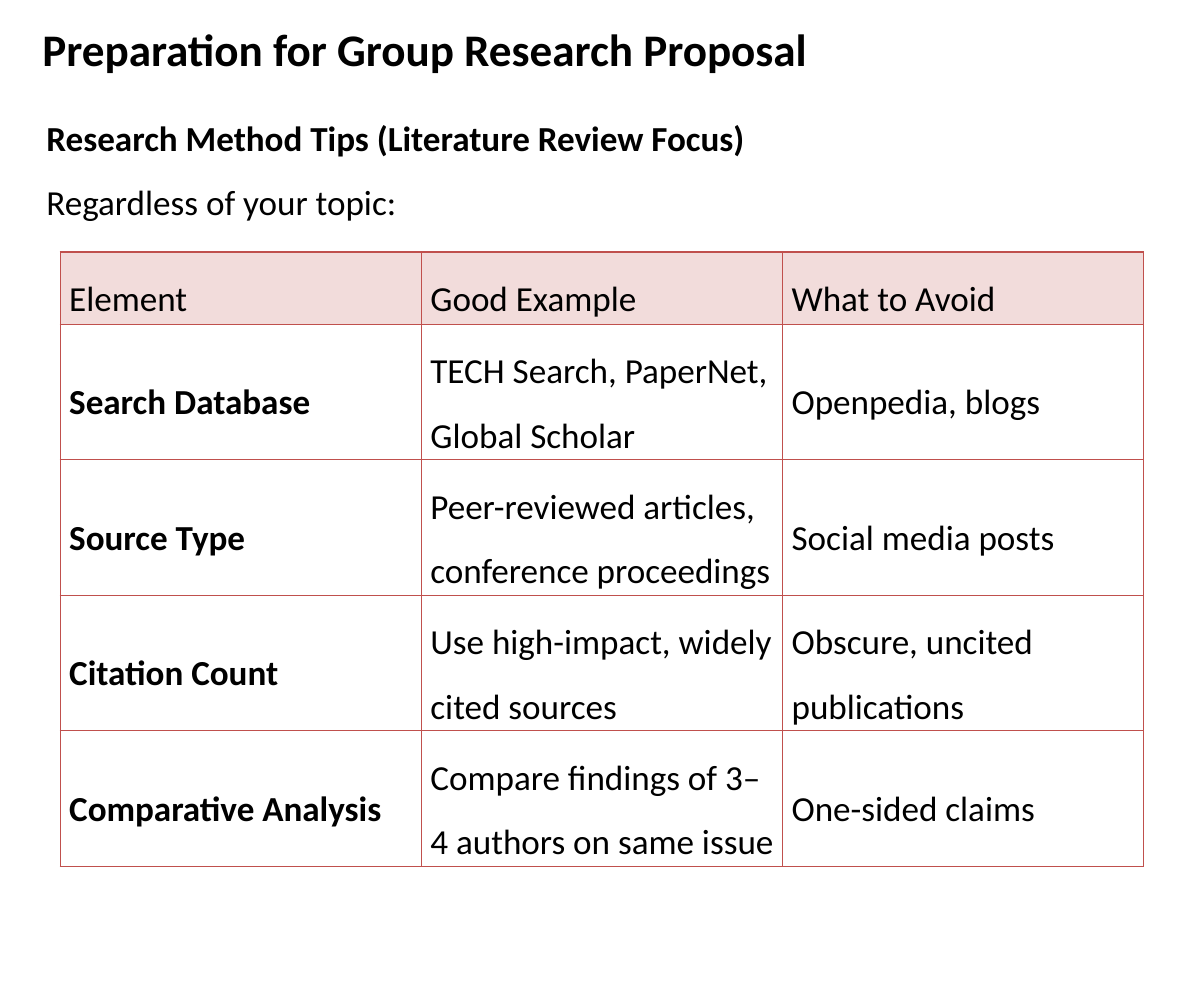
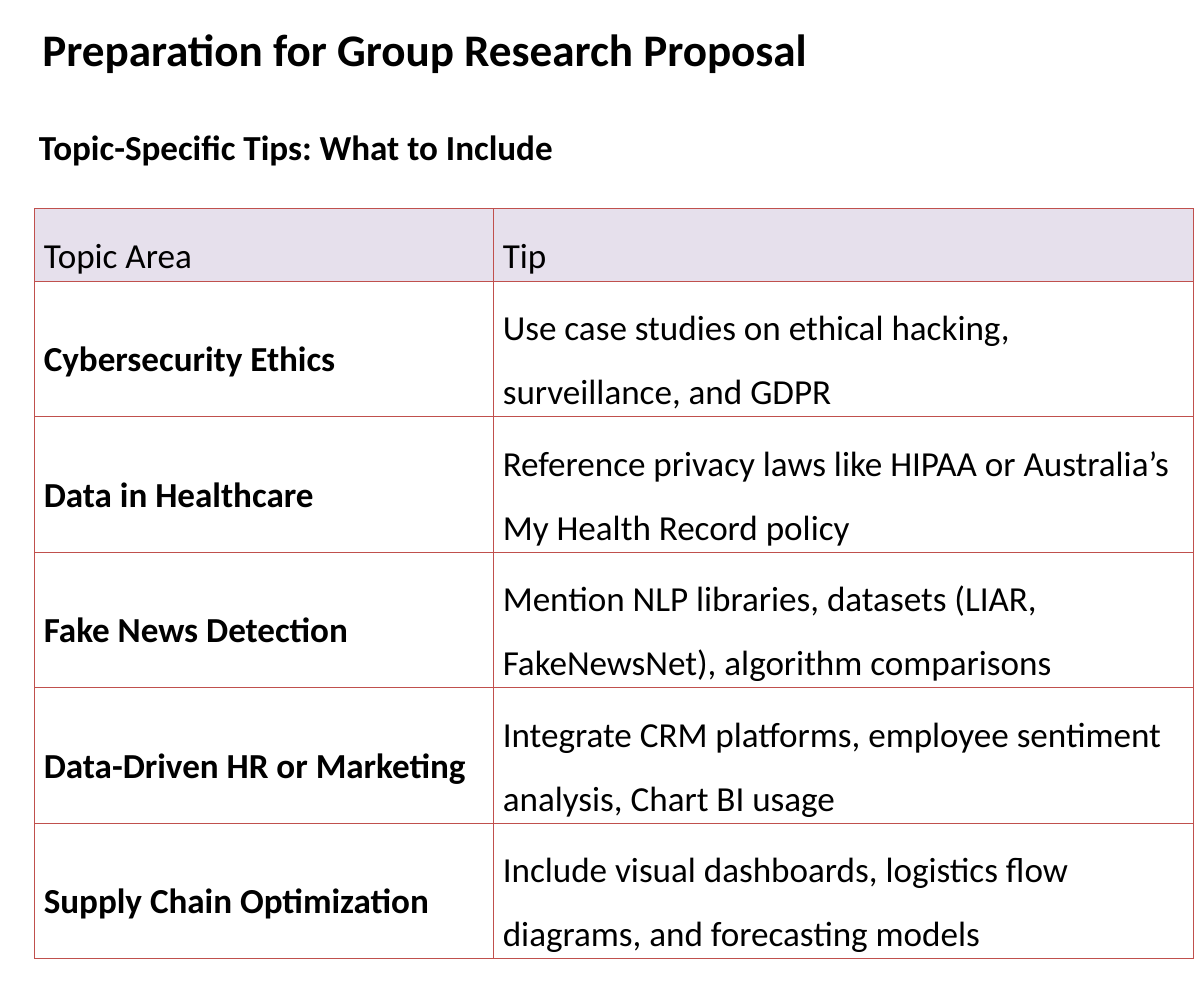
from dataclasses import dataclass

from pptx import Presentation, util as u
from pptx.dml.color import RGBColor
from pptx.enum import text
from pptx.oxml import parse_xml
from pptx.oxml.ns import nsdecls

PX = 9525  # EMU, 96 px to the inch
FONT = "Calibri"
BLACK = RGBColor(0x00, 0x00, 0x00)
ROSE = RGBColor(0xF2, 0xDC, 0xDB)
LILAC = RGBColor(0xE6, 0xE0, 0xEC)
BORDER = RGBColor(0xC0, 0x50, 0x4D)
TITLE = "Preparation for Group Research Proposal"
TITLE_SIZE, BODY_SIZE = 36, 28
HEADER_HEIGHT, ROW_HEIGHT = 77, 144
LINE_SPACING = 1.5


@dataclass(frozen=True)
class Box:
    left: int
    top: int
    width: int
    height: int

    def emu(self) -> list[int]:
        return [side * PX for side in (self.left, self.top, self.width, self.height)]


@dataclass(frozen=True)
class Line:
    words: str
    bold: bool = False
    spacing: float | None = None


@dataclass(frozen=True)
class Grid:
    left: int
    top: int
    widths: list[int]
    header_fill: RGBColor
    rows: list[list[str]]


@dataclass(frozen=True)
class Page:
    intro_box: Box
    intro: list[Line]
    grid: Grid


PAGES = [
    Page(
        Box(40, 100, 776, 138),
        [
            Line("Research Method Tips (Literature Review Focus)", True, LINE_SPACING),
            Line("Regardless of your topic:", False, LINE_SPACING),
        ],
        Grid(64, 268, [384, 384, 384], ROSE, [
            ["Element", "Good Example", "What to Avoid"],
            ["Search Database", "TECH Search, PaperNet, Global Scholar", "Openpedia, blogs"],
            ["Source Type", "Peer-reviewed articles, conference proceedings",
             "Social media posts"],
            ["Citation Count", "Use high-impact, widely cited sources",
             "Obscure, uncited publications"],
            ["Comparative Analysis", "Compare findings of 3–4 authors on same issue",
             "One-sided claims"],
        ]),
    ),
    Page(
        Box(32, 128, 576, 55),
        [Line("Topic-Specific Tips: What to Include", True)],
        Grid(37, 222, [488, 744], LILAC, [
            ["Topic Area", "Tip"],
            ["Cybersecurity Ethics",
             "Use case studies on ethical hacking, surveillance, and GDPR"],
            ["Data in Healthcare",
             "Reference privacy laws like HIPAA or Australia’s My Health Record policy"],
            ["Fake News Detection",
             "Mention NLP libraries, datasets (LIAR, FakeNewsNet), algorithm comparisons"],
            ["Data-Driven HR or Marketing",
             "Integrate CRM platforms, employee sentiment analysis, Chart BI usage"],
            ["Supply Chain Optimization",
             "Include visual dashboards, logistics flow diagrams, and forecasting models"],
        ]),
    ),
]


def write(para, line: Line, size: int = BODY_SIZE) -> None:
    if line.spacing:
        para.line_spacing = line.spacing
    span = para.add_run()
    span.text = line.words
    span.font.name, span.font.size, span.font.bold = FONT, u.Pt(size), line.bold
    span.font.color.rgb = BLACK


def add_title(slide) -> None:
    frame = slide.shapes.add_textbox(*Box(20, 22, 1092, 60).emu()).text_frame
    frame.word_wrap = True
    frame.auto_size = text.MSO_AUTO_SIZE.SHAPE_TO_FIT_TEXT
    frame.margin_left = frame.margin_right = frame.margin_bottom = 0
    frame.margin_top = PX
    para = frame.paragraphs[0]
    para.space_before = u.Pt(1)
    properties = para._p.get_or_add_pPr()
    properties.set("marL", str(25 * PX))
    properties.set("indent", "0")
    write(para, Line(TITLE, True), TITLE_SIZE)


def add_intro(slide, box: Box, lines: list[Line]) -> None:
    frame = slide.shapes.add_textbox(*box.emu()).text_frame
    frame.word_wrap = False
    frame.auto_size = text.MSO_AUTO_SIZE.SHAPE_TO_FIT_TEXT
    frame.vertical_anchor = text.MSO_ANCHOR.MIDDLE
    for index, line in enumerate(lines):
        write(frame.add_paragraph() if index else frame.paragraphs[0], line)


def outline(cell) -> None:
    """Draw a one-point border on all four sides of a cell."""
    properties = cell._tc.get_or_add_tcPr()
    for index, side in enumerate(("lnL", "lnR", "lnT", "lnB")):
        properties.insert(index, parse_xml(
            f'<a:{side} {nsdecls("a")} w="{u.Pt(1)}"><a:solidFill>'
            f'<a:srgbClr val="{BORDER}"/></a:solidFill></a:{side}>'))


def add_grid(slide, grid: Grid) -> None:
    heights = [HEADER_HEIGHT] + [ROW_HEIGHT] * (len(grid.rows) - 1)
    box = Box(grid.left, grid.top, sum(grid.widths), sum(heights))
    table = slide.shapes.add_table(len(heights), len(grid.widths), *box.emu()).table
    table.first_row = table.horz_banding = False
    for column, width in zip(table.columns, grid.widths):
        column.width = width * PX
    for r, (height, words) in enumerate(zip(heights, grid.rows)):
        table.rows[r].height = height * PX
        for c, entry in enumerate(words):
            cell = table.cell(r, c)
            cell.vertical_anchor = text.MSO_ANCHOR.MIDDLE
            if r == 0:
                cell.fill.solid()
                cell.fill.fore_color.rgb = grid.header_fill
            else:
                cell.fill.background()
            outline(cell)
            label = r > 0 and c == 0
            write(cell.text_frame.paragraphs[0], Line(entry, label, LINE_SPACING))


def main() -> None:
    deck = Presentation()
    deck.slide_width, deck.slide_height = 1280 * PX, 1056 * PX
    for page in PAGES:
        slide = deck.slides.add_slide(deck.slide_layouts[6])
        add_title(slide)
        add_grid(slide, page.grid)
        add_intro(slide, page.intro_box, page.intro)
    deck.save("out.pptx")


if __name__ == "__main__":
    main()
